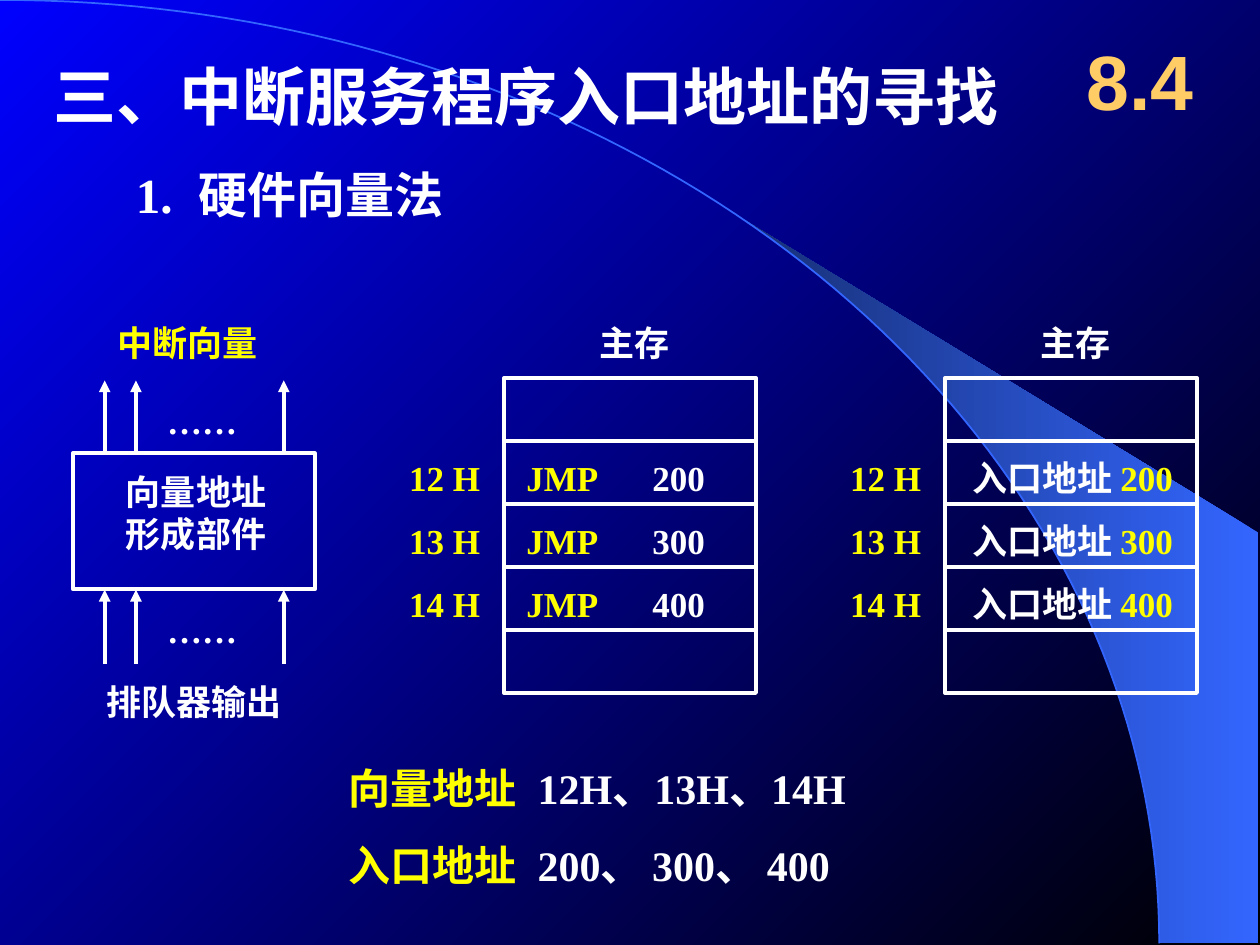
from dataclasses import dataclass
from math import asin, cos, pi, sin

from lxml.etree import SubElement
from pptx import Presentation
from pptx.dml.color import RGBColor
from pptx.enum.shapes import MSO_CONNECTOR, MSO_SHAPE
from pptx.enum.text import MSO_ANCHOR, MSO_AUTO_SIZE, PP_ALIGN
from pptx.oxml.ns import qn
from pptx.util import Cm, Pt


@dataclass(frozen=True)
class Theme:
    white: str = "FFFFFF"
    yellow: str = "FFFF00"
    gold: str = "FFCC66"
    black: str = "000000"
    blue: str = "0000FF"
    arc: str = "3366FF"
    arc_dark: str = "172F75"
    serif: str = "Times New Roman"
    sans: str = "Arial"
    number: int = 44
    title: int = 36
    subtitle: int = 28
    summary: int = 24
    label: int = 20
    line: float = 2.25


def apply(target, values):
    for name, value in values.items():
        setattr(target, name, value)


def ellipse_points(start, steps, width=23.37, height=19.02):
    angles = [start + (pi / 2 - start) * step / steps for step in range(steps + 1)]
    return [(width * sin(angle), height * (1 - cos(angle))) for angle in angles]


class SlideBuilder:
    def __init__(self, slide, theme):
        self.slide = slide
        self.theme = theme

    def gradient(self, fill, colors, angle):
        fill.gradient()
        fill.gradient_angle = angle
        for stop, color in zip(fill.gradient_stops, colors):
            stop.color.rgb = RGBColor.from_string(color)

    def outline(self, shape, color, width):
        shape.line.color.rgb = RGBColor.from_string(color)
        shape.line.width = Pt(width)

    def backdrop_shape(self, points, close, position):
        start, *others = [(Cm(x), Cm(y)) for x, y in points]
        builder = self.slide.shapes.build_freeform(*start)
        builder.add_line_segments(others, close=close)
        shape = builder.convert_to_shape()
        shape.shadow.inherit = False
        self.slide.shapes._spTree.insert(position, shape._element)
        return shape

    def backdrop(self):
        theme = self.theme
        self.gradient(self.slide.background.fill, (theme.black, theme.blue), 135)
        edge = ellipse_points(asin(0.64), 40)
        crescent = self.backdrop_shape(edge + [(25.37, 19.02), (25.37, 10.74)], True, 2)
        self.gradient(crescent.fill, (theme.arc, theme.arc_dark), 180)
        crescent.line.fill.background()
        arc = self.backdrop_shape(ellipse_points(0, 80), False, 3)
        arc.fill.background()
        self.outline(arc, theme.arc, 1)

    def fill_text(self, shape, paragraphs, size, font=None, inset=0.25, wrap=True,
                  anchor=MSO_ANCHOR.TOP, fit=MSO_AUTO_SIZE.NONE,
                  alignment=PP_ALIGN.LEFT, tab=None, space=0):
        frame = shape.text_frame
        apply(frame, {
            "margin_left": Cm(inset), "margin_right": Cm(inset),
            "margin_top": Cm(0.13), "margin_bottom": Cm(0.13),
            "word_wrap": wrap, "auto_size": fit, "vertical_anchor": anchor,
        })
        for index, runs in enumerate(paragraphs):
            paragraph = frame.add_paragraph() if index else frame.paragraphs[0]
            properties = paragraph._p.get_or_add_pPr()
            apply_indent = {"marL": "0", "indent": "0"}
            for name, value in apply_indent.items():
                properties.set(name, value)
            SubElement(properties, qn("a:buNone"))
            if tab:
                tabs = SubElement(properties, qn("a:tabLst"))
                SubElement(tabs, qn("a:tab"), pos=str(Cm(tab)), algn="l")
            apply(paragraph, {"alignment": alignment,
                              "space_before": Pt(space if index else 0)})
            for text, color in runs:
                run = paragraph.add_run()
                run.text = text
                apply(run.font, {"name": font or self.theme.serif,
                                 "size": Pt(size), "bold": True})
                run.font.color.rgb = RGBColor.from_string(color)

    def placeholder(self, index, box, runs, size, **options):
        shape = self.slide.placeholders[index]
        apply(shape, dict(zip(("left", "top", "width", "height"), map(Cm, box))))
        self.fill_text(shape, [runs], size, inset=0, wrap=False,
                       anchor=MSO_ANCHOR.MIDDLE, **options)

    def text(self, box, paragraphs, size=None, **options):
        shape = self.slide.shapes.add_textbox(*map(Cm, box))
        self.fill_text(shape, paragraphs, size or self.theme.label, **options)

    def label(self, box, text, color=None, **options):
        self.text(box, [[(text, color or self.theme.white)]], **options)

    def frame(self, box):
        shape = self.slide.shapes.add_shape(MSO_SHAPE.RECTANGLE, *map(Cm, box))
        shape.shadow.inherit = False
        shape.fill.background()
        self.outline(shape, self.theme.white, self.theme.line)

    def arrow(self, x, bottom, top):
        connector = self.slide.shapes.add_connector(
            MSO_CONNECTOR.STRAIGHT, Cm(x), Cm(bottom), Cm(x), Cm(top))
        self.outline(connector, self.theme.white, self.theme.line)
        SubElement(connector.line._get_or_add_ln(), qn("a:tailEnd"), type="triangle")
        SubElement(connector._element.spPr, qn("a:effectLst"))

    def arrow_group(self, bottom, top):
        for x in (2.11, 2.74, 5.72):
            self.arrow(x, bottom, top)
        self.label((3.12, top + 0.25, 1.9, 1.12), "……", wrap=False)

    def memory(self, left, entries, offset, width, **options):
        top, row_height = 7.62, 1.27
        self.label((left + 1.68, 6.35, 1.9, 1.12), "主存", wrap=False)
        for row in range(5):
            self.frame((left, top + row * row_height, 5.08, row_height))
        for row, (address, runs) in enumerate(entries, start=1):
            y = top + row * row_height
            self.label((left - 1.91, y, 1.7, 1.47), address, self.theme.yellow,
                       inset=0, wrap=False, anchor=MSO_ANCHOR.MIDDLE)
            self.text((left + offset, y + 0.18, width, 1.12), [runs], **options)


def main():
    presentation = Presentation()
    apply(presentation, {"slide_width": Cm(25.4), "slide_height": Cm(19.05)})
    slide = presentation.slides.add_slide(presentation.slide_layouts[1])
    theme = Theme()
    builder = SlideBuilder(slide, theme)
    white, yellow = theme.white, theme.yellow

    builder.backdrop()
    builder.placeholder(0, (1.07, 1.07, 24.13, 1.7),
                        [("三、中断服务程序入口地址的寻找", white)], theme.title)
    builder.placeholder(1, (2.74, 3.18, 10.8, 1.47),
                        [("1.\t硬件向量法", white)], theme.subtitle, tab=1.48)
    builder.label((21.39, 0.43, 3.18, 2.34), "8.4", theme.gold, size=theme.number,
                  font=theme.sans, anchor=MSO_ANCHOR.MIDDLE, alignment=PP_ALIGN.CENTER)

    builder.label((2.11, 6.35, 4.65, 1.12), "中断向量", yellow)
    builder.frame((1.47, 9.14, 4.88, 2.74))
    builder.text((2.29, 9.35, 3.33, 1.96),
                 [[("向量地址", white)], [("形成部件", white)]], wrap=False)
    builder.arrow_group(9.14, 7.67)
    builder.arrow_group(13.39, 11.89)
    builder.label((1.9, 13.59, 5.92, 1.12), "排队器输出")

    rows = [("12 H", "200"), ("13 H", "300"), ("14 H", "400")]
    jumps = [(address, [("JMP", yellow), ("\t" + target, white)])
             for address, target in rows]
    entries = [(address, [("入口地址 ", white), (target, yellow)])
               for address, target in rows]
    builder.memory(10.16, jumps, 0.2, 5.08, tab=2.87)
    builder.memory(19.05, entries, 0.3, 4.72, wrap=False)

    summary = [("向量地址", "12H、13H、14H"), ("入口地址", "200、 300、 400")]
    builder.text((6.78, 15.24, 19.25, 2.82),
                 [[(name, yellow), ("\t" + values, white)] for name, values in summary],
                 size=theme.summary, tab=4.15, space=15)
    presentation.save("out.pptx")


if __name__ == "__main__":
    main()
